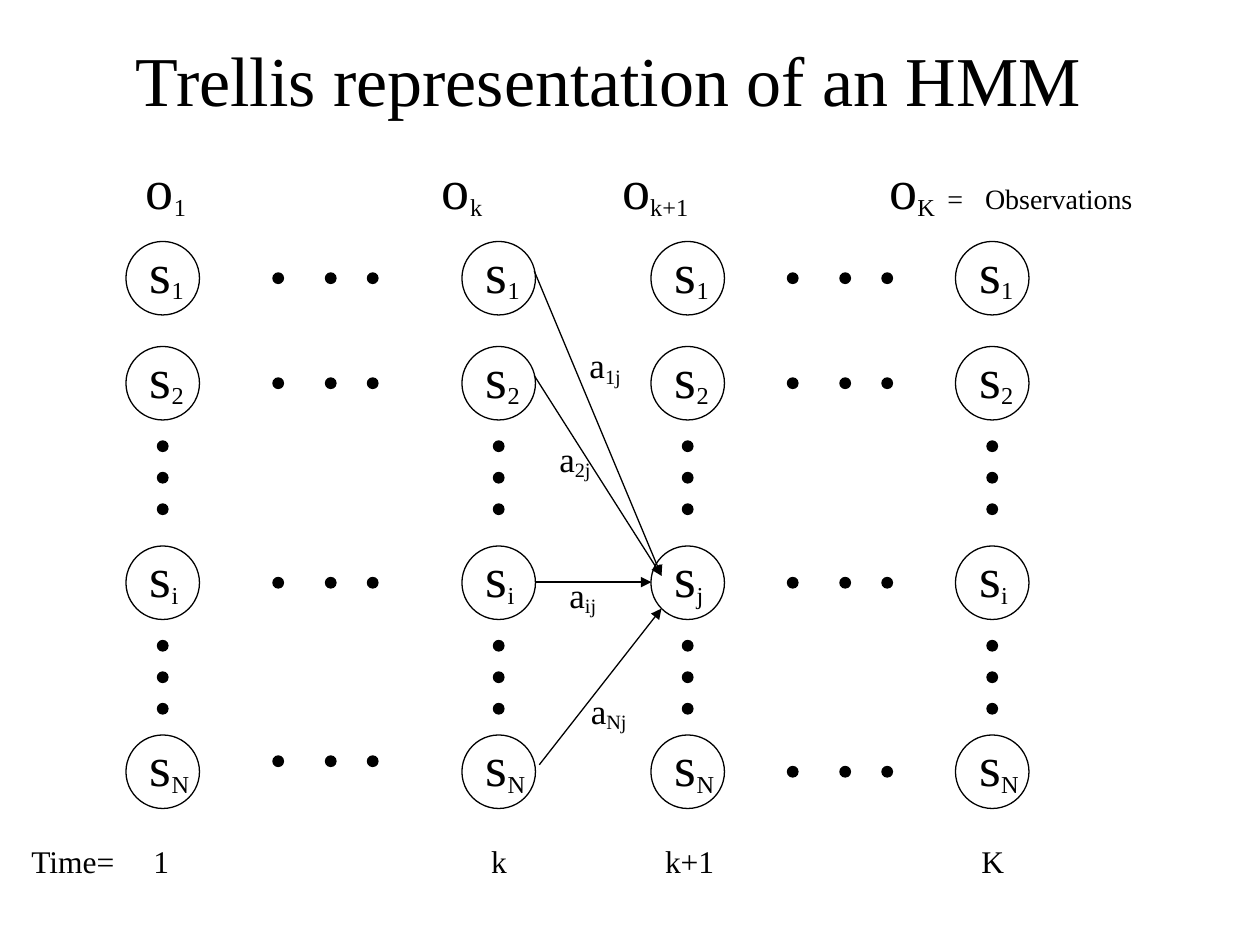
from lxml import etree
from pptx import Presentation
from pptx.dml.color import RGBColor
from pptx.enum.shapes import MSO_CONNECTOR, MSO_SHAPE
from pptx.enum.text import MSO_ANCHOR, MSO_AUTO_SIZE, PP_ALIGN
from pptx.oxml.ns import qn
from pptx.util import Inches, Pt

OVAL, STRAIGHT = MSO_SHAPE.OVAL, MSO_CONNECTOR.STRAIGHT
LEFT, CENTER = PP_ALIGN.LEFT, PP_ALIGN.CENTER
TOP, MIDDLE = MSO_ANCHOR.TOP, MSO_ANCHOR.MIDDLE
GROW = MSO_AUTO_SIZE.SHAPE_TO_FIT_TEXT

THEME = {
    "font": "Times New Roman", "ink": RGBColor(0, 0, 0), "line": 0.75,
    "title": 40, "symbol": 32, "sub": 24, "weight": 20, "time": 18, "note": 16,
    "drop": -16000,
}
SYMBOL, SUB, NOTE = THEME["symbol"], THEME["sub"], THEME["note"]

# Content
TITLE = "Trellis representation of an HMM"
COLUMNS = [  # grid column, state subscripts from top to bottom
    (12, ["1", "2", "i", "N"]),
    (44, ["1", "2", "i", "N"]),
    (62, ["1", "2", "j", "N"]),
    (91, ["1", "2", "i", "N"]),
]
LABEL_WIDTHS = {"1": 0.5, "2": 0.5, "i": 0.46, "j": 0.46, "N": 0.55}
TRANSITIONS = [  # subscript, label box (left, top, width), arrow from, arrow to
    ("1j", (4.58, 2.68, 0.49), (4.24, 2.15), (5.25, 4.57)),
    ("2j", (4.34, 3.42, 0.49), (4.24, 2.98), (5.25, 4.57)),
    ("ij", (4.42, 4.5, 0.45), (4.25, 4.62), (5.17, 4.62)),
    ("Nj", (4.59, 5.42, 0.52), (4.28, 6.07), (5.25, 4.83)),
]
OBSERVATIONS = ["1", "k", "k+1", "K"]
OBSERVATION_TABS = [0.23, 2.58, 4.01, 6.13, 6.59, 6.89]
TIMES = ["Time=", "1", "k", "k+1", "K"]
TIME_TABS = [0.97, 3.65, 5.03, 7.54]

# Grid, in twelfths of an inch
CELL = 1 / 12
ROWS = [23, 33, 52, 70]
STATE, DOT, DOT_OFFSET = 7, 1, 3
VERTICAL_DOTS = [42, 45, 48, 61, 64, 67]
GAPS = [  # columns of the dots, rows of the dots
    ([75, 80, 84], [row + DOT_OFFSET for row in ROWS]),
    ([26, 31, 35], [row + DOT_OFFSET for row in ROWS[:3]] + [72]),
]


def circle(shapes, col, row, size, filled=False):
    sp = shapes.add_shape(OVAL, *(Inches(v * CELL) for v in (col, row, size, size)))
    sp.shadow.inherit = False
    if filled:
        sp.fill.solid()
        sp.fill.fore_color.rgb = THEME["ink"]
    else:
        sp.fill.background()
    sp.line.color.rgb = THEME["ink"]
    sp.line.width = Pt(THEME["line"])


def dots(shapes, cols, rows):
    for row in rows:
        for col in cols:
            circle(shapes, col, row, DOT, filled=True)


def text(shapes, box, parts, wrap=False, align=LEFT, anchor=TOP, tabs=()):
    """Add one line of text; parts holds (text, size, is_subscript) tuples."""
    tb = shapes.add_textbox(*(Inches(v) for v in box))
    tf = tb.text_frame
    tf.word_wrap = wrap
    tf.vertical_anchor = anchor
    if anchor == TOP:
        tf.auto_size = GROW
    p = tf.paragraphs[0]
    p.alignment = align
    if tabs:
        stops = etree.SubElement(p._p.get_or_add_pPr(), qn("a:tabLst"))
        for pos in tabs:
            etree.SubElement(stops, qn("a:tab"), pos=str(Inches(pos)), algn="l")
    for words, size, is_sub in parts:
        r = p.add_run()
        r.text = words
        r.font.name = THEME["font"]
        r.font.size = Pt(size)
        r.font.color.rgb = THEME["ink"]
        if is_sub:
            r.font._element.set("baseline", str(THEME["drop"]))


def arrow(shapes, start, end):
    c = shapes.add_connector(STRAIGHT, *(Inches(v) for v in start + end))
    c.line.color.rgb = THEME["ink"]
    c.line.width = Pt(THEME["line"])
    etree.SubElement(c.line._get_or_add_ln(), qn("a:tailEnd"), type="triangle")
    etree.SubElement(c._element.spPr, qn("a:effectLst"))


def state_column(shapes, col, subscripts):
    for row, sub in zip(ROWS, subscripts):
        circle(shapes, col, row, STATE)
        box = (col * CELL + 0.09, (row - 1) * CELL, LABEL_WIDTHS[sub], 0.64)
        text(shapes, box, [("s", SYMBOL, False), (sub, SUB, True)])
    dots(shapes, [col + DOT_OFFSET], VERTICAL_DOTS)


def main():
    prs = Presentation()
    prs.slide_width, prs.slide_height = Inches(10), Inches(7.5)
    s = prs.slides.add_slide(prs.slide_layouts[6])

    for col, subscripts in COLUMNS:
        state_column(s.shapes.add_group_shape().shapes, col, subscripts)
    for cols, rows in GAPS:
        for row in rows:
            dots(s.shapes.add_group_shape().shapes, cols, [row])

    for sub, box, start, end in TRANSITIONS:
        arrow(s.shapes, start, end)
        size = THEME["weight"]
        text(s.shapes, box + (0.46,), [("a", size, False), (sub, size, True)])

    text(s.shapes, (0.15, 6.63, 8, 0.4), [("\t".join(TIMES), THEME["time"], False)],
         wrap=True, tabs=TIME_TABS)

    parts = []
    for sub in OBSERVATIONS:
        parts += [("\t", NOTE, False), ("o", SYMBOL, False), (sub, SUB, True)]
    parts.append(("\t=\tObservations", NOTE, False))
    text(s.shapes, (0.83, 1.17, 9.17, 0.64), parts, wrap=True, tabs=OBSERVATION_TABS)

    text(s.shapes, (0.58, 0, 8.5, 1.25), [(TITLE, THEME["title"], False)],
         wrap=True, align=CENTER, anchor=MIDDLE)
    prs.save("out.pptx")


if __name__ == "__main__":
    main()
